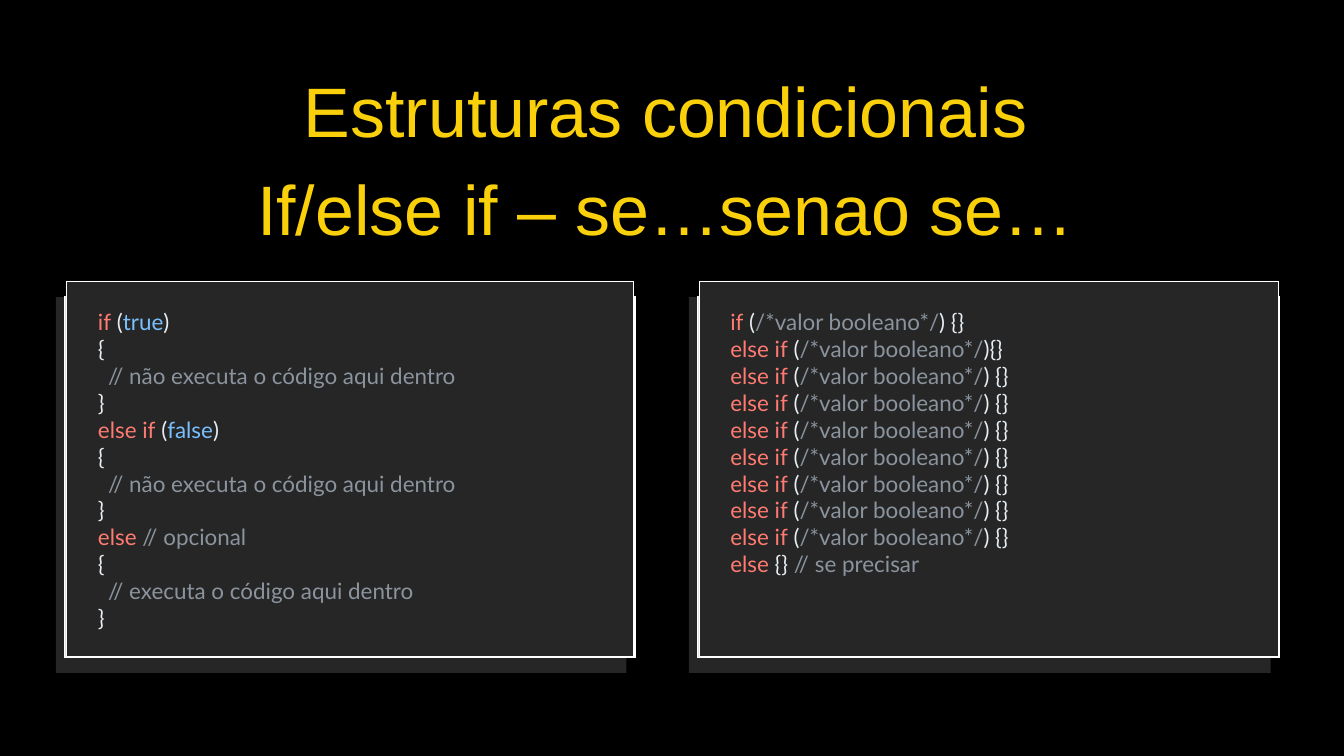
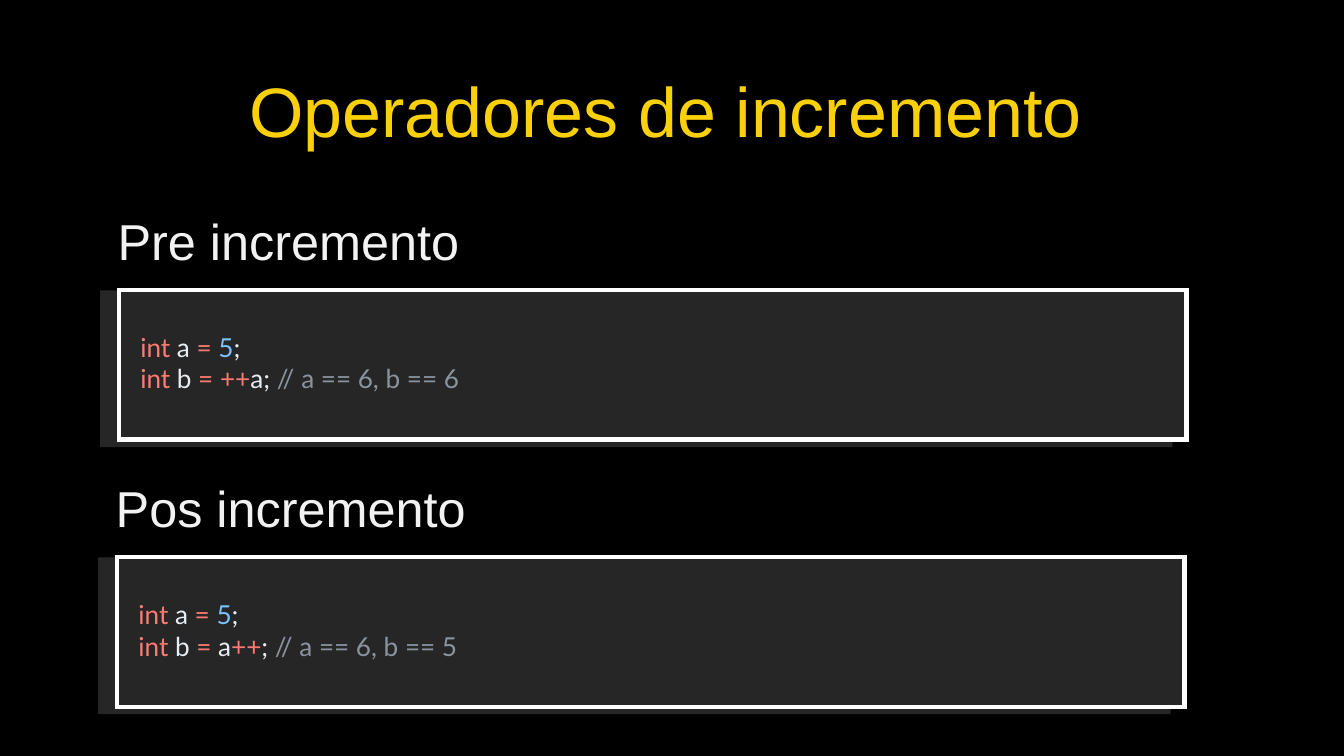
from dataclasses import dataclass

from lxml import etree
from pptx import Presentation
from pptx import util as u
from pptx.dml import color
from pptx.enum import shapes, text
from pptx.oxml import ns


@dataclass(frozen=True)
class Theme:
    background: str = "000000"
    panel: str = "262626"
    border: str = "FFFFFF"
    title: str = "FAD00A"
    heading: str = "F2F2F2"
    keyword: str = "FF7B72"
    plain: str = "E6EDF3"
    value: str = "79C0FF"
    comment: str = "8B949E"
    title_font: str = "Arial"
    code_font: str = "Lato"
    title_size: float = 75
    heading_size: float = 54
    code_size: float = 24
    large_code_size: float = 28
    title_leading: float = 105
    code_indent: float = 11
    thick: float = 4.5
    thin: float = 0.75


THEME = Theme()


def keyword(words):
    return words, THEME.keyword


def plain(words):
    return words, THEME.plain


def value(words):
    return words, THEME.value


def comment(words):
    return words, THEME.comment


def block(body):
    """Braces around one comment; a leading tab marks an indented line."""
    return [[plain("{")], [comment("\t" + body)], [plain("}")]]


def branch(word, ending):
    return [keyword(word), plain(" ("), comment("/*valor booleano*/"), plain(ending)]


CONDITION_TITLE = ["Estruturas condicionais", "If/else if – se…senao se…"]
SKIPPED = "// não executa o código aqui dentro"
BRANCH_CODE = [
    [keyword("if"), plain(" ("), value("true"), plain(")")],
    *block(SKIPPED),
    [keyword("else if"), plain(" ("), value("false"), plain(")")],
    *block(SKIPPED),
    [keyword("else"), comment(" // opcional")],
    *block("// executa o código aqui dentro"),
]
CHAIN_CODE = [
    branch("if", ") {}"),
    branch("else if", "){}"),
    *[branch("else if", ") {}")] * 7,
    [keyword("else"), plain(" {}"), comment(" // se precisar")],
]
# left edge of the panel, its width, left edge of the code, code
CONDITION_PANELS = [
    (59.8, 611.4, 97.9, BRANCH_CODE),
    (738, 623.5, 775.4, CHAIN_CODE),
]

INCREMENT_TITLE = ["Operadores de incremento"]
DECLARE_A = [keyword("int"), plain(" a "), keyword("= "), value("5"), plain(";")]
INCREMENT_PANELS = [
    ("Pre incremento", [
        DECLARE_A,
        [keyword("int"), plain(" b "), keyword("= ++"), plain("a;"),
         comment(" // a == 6, b == 6")],
    ]),
    ("Pos incremento", [
        DECLARE_A,
        [keyword("int"), plain(" b "), keyword("="), plain(" a"), keyword("++"),
         plain(";"), comment(" // a == 6, b == 5")],
    ]),
]
INCREMENT_STEP = (-2, 286.2)


def rgb(code):
    return color.RGBColor.from_string(code)


def add_text(page, lines, *, left, top, width, height, font, size,
             align=text.PP_ALIGN.LEFT, leading=None, inset=(0, 0)):
    """Each line is a list of (words, colour) spans."""
    box = page.shapes.add_textbox(*map(u.Pt, (left, top, width, height)))
    frame = box.text_frame
    frame.word_wrap = True
    frame.auto_size = text.MSO_AUTO_SIZE.SHAPE_TO_FIT_TEXT
    frame.margin_left = frame.margin_right = u.Pt(inset[0])
    frame.margin_top = frame.margin_bottom = u.Pt(inset[1])
    for index, line in enumerate(lines):
        para = frame.add_paragraph() if index else frame.paragraphs[0]
        para.alignment = align
        if leading:
            para.line_spacing = u.Pt(leading)
        if line[0][0].startswith("\t"):
            para._p.get_or_add_pPr().set("marL", str(u.Pt(THEME.code_indent)))
        for words, ink in line:
            span = para.add_run()
            span.text = words.lstrip("\t")
            span.font.name = font
            span.font.size = u.Pt(size)
            span.font.color.rgb = rgb(ink)


def add_code(page, lines, **place):
    add_text(page, lines, font=THEME.code_font, inset=(7.2, 3.6), **place)


def add_title(page, lines):
    add_text(page, [[(line, THEME.title)] for line in lines],
             left=74.2, top=57.6, width=1278, height=100.8 * len(lines),
             font=THEME.title_font, size=THEME.title_size,
             align=text.PP_ALIGN.CENTER, leading=THEME.title_leading)


def add_panel(page, left, top, width, height, border=None):
    panel = page.shapes.add_shape(shapes.MSO_SHAPE.RECTANGLE,
                                  *map(u.Pt, (left, top, width, height)))
    panel.shadow.inherit = False
    panel.fill.solid()
    panel.fill.fore_color.rgb = rgb(THEME.panel)
    if border is None:
        panel.line.fill.background()
        return
    panel.line.color.rgb = rgb(THEME.border)
    panel.line.width = u.Pt(border)
    outline = panel._element.spPr.find(ns.qn("a:ln"))
    etree.SubElement(outline, ns.qn("a:miter")).set("lim", "800000")


def add_page(deck, title):
    page = deck.slides.add_slide(deck.slide_layouts[6])
    page.background.fill.solid()
    page.background.fill.fore_color.rgb = rgb(THEME.background)
    add_title(page, title)
    return page


def add_condition_page(deck):
    page = add_page(deck, CONDITION_TITLE)
    for left, width, code_left, code in CONDITION_PANELS:
        front_left, front_width = left + 10.8, width - 3
        add_panel(page, left, 318.4, width, 402.5)
        add_panel(page, front_left, 319, front_width, 384, border=THEME.thick)
        add_panel(page, front_left, 301, front_width, 402.5, border=THEME.thin)
        add_code(page, code, left=code_left, top=326.9, width=560,
                 height=29 * len(code) + 7.2, size=THEME.code_size)


def add_increment_page(deck):
    page = add_page(deck, INCREMENT_TITLE)
    for index, (heading, code) in enumerate(INCREMENT_PANELS):
        shift_x, shift_y = (index * step for step in INCREMENT_STEP)
        add_panel(page, 107.2 + shift_x, 311 + shift_y, 1149, 168)
        add_panel(page, 127.2 + shift_x, 311 + shift_y, 1144, 160, border=THEME.thick)
        add_code(page, code, left=143.2 + shift_x, top=351.6 + shift_y,
                 width=1040, height=75, size=THEME.large_code_size)
        add_text(page, [[(heading, THEME.heading)]],
                 left=126 + shift_x, top=185.2 + shift_y, width=1278, height=91.4,
                 font=THEME.title_font, size=THEME.heading_size,
                 leading=THEME.title_leading)


def main():
    deck = Presentation()
    deck.slide_width, deck.slide_height = u.Pt(1440), u.Pt(810)
    add_condition_page(deck)
    add_increment_page(deck)
    deck.save("out.pptx")


if __name__ == "__main__":
    main()
